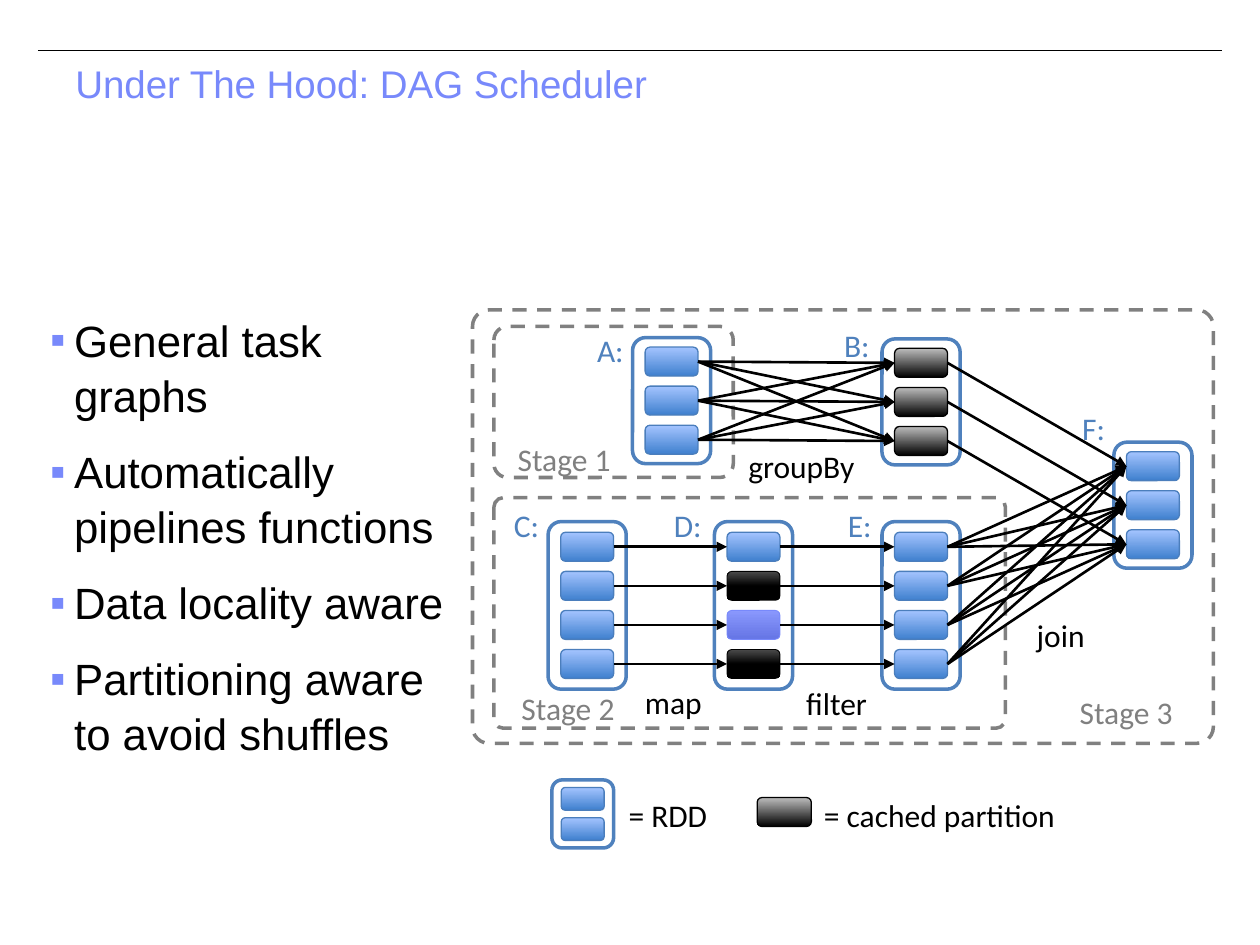
"""Build the DAG scheduler slide: bullets beside a staged graph of RDDs."""
from lxml import etree
from pptx import Presentation
from pptx.dml.color import RGBColor
from pptx.enum import dml, shapes, text
from pptx.oxml import ns
from pptx.util import Inches, Pt

BLACK = RGBColor(0x00, 0x00, 0x00)
WHITE = RGBColor(0xFF, 0xFF, 0xFF)
GRAY = RGBColor(0x80, 0x80, 0x80)
SILVER = RGBColor(0xBD, 0xBD, 0xBD)
CHARCOAL = RGBColor(0x4B, 0x4B, 0x4B)
BLUE = RGBColor(0x4F, 0x81, 0xBD)
EDGE_BLUE = RGBColor(0x4B, 0x7E, 0xBC)
DEEP_BLUE = RGBColor(0x3F, 0x80, 0xCE)
LIGHT_BLUE = RGBColor(0xA4, 0xC4, 0xFF)
VIOLET = RGBColor(0x78, 0x89, 0xFB)
LIGHT_VIOLET = RGBColor(0x8A, 0x98, 0xFD)
DEEP_VIOLET = RGBColor(0x65, 0x75, 0xE5)

TITLE = "Under The Hood: DAG Scheduler"
BULLETS = [
    ["General task graphs"],
    ["Automatically pipelines functions"],
    ["Data locality aware"],
    ["Partitioning aware", "to avoid shuffles"],
]

# style: top colour, bottom colour, position of the bottom colour, edge, edge width
STYLES = {
    "plain": (LIGHT_BLUE, DEEP_BLUE, 1, EDGE_BLUE, 0.75),
    "cached": (SILVER, BLACK, 1, BLACK, 0.75),
    "dark": (CHARCOAL, BLACK, 0.5, BLACK, 0.5),
    "violet": (LIGHT_VIOLET, DEEP_VIOLET, 1, VIOLET, 0.5),
}
STAGES = [
    (3.75, 2.46, 5.88, 3.44, 0.038),
    (3.92, 2.59, 1.9, 1.2, 0.091),
    (3.92, 3.95, 4.06, 1.83, 0.041),
]
RDDS = {
    "A": (5.02, 2.68, ["plain"] * 3),
    "B": (7, 2.69, ["cached"] * 3),
    "C": (4.35, 4.14, ["plain"] * 4),
    "D": (5.67, 4.14, ["plain", "dark", "violet", "dark"]),
    "E": (7, 4.14, ["plain"] * 4),
    "F": (8.84, 3.51, ["plain"] * 3),
}
NARROW, WIDE = "one to one", "all to all"
DEPENDENCIES = [
    ("A", "B", WIDE), ("B", "F", NARROW), ("C", "D", NARROW),
    ("D", "E", NARROW), ("E", "F", WIDE),
]
GRAPH_LABELS = [
    ("join", 8.13, 4.84, 0.6, BLACK), ("filter", 6.3, 5.38, 0.69, BLACK),
    ("groupBy", 5.84, 3.5, 1.09, BLACK), ("map", 5.02, 5.37, 0.67, BLACK),
    ("Stage 1", 4.01, 3.44, 0.98, GRAY), ("Stage 2", 4.04, 5.42, 0.99, GRAY),
    ("Stage 3", 8.47, 5.45, 0.98, GRAY),
    ("A:", 4.64, 2.58, 0.43, BLUE), ("B:", 6.6, 2.54, 0.42, BLUE),
    ("C:", 3.98, 3.97, 0.42, BLUE), ("D:", 5.25, 3.97, 0.44, BLUE),
    ("E:", 6.63, 3.97, 0.41, BLUE), ("F:", 8.49, 3.2, 0.4, BLUE),
]
LEGEND_LABELS = [
    ("= RDD", 4.89, 6.27, 0.87, BLACK),
    ("= cached partition", 6.44, 6.27, 2.07, BLACK),
]


def add_run(paragraph, words, font, size, color):
    run = paragraph.add_run()
    run.text = words
    run.font.name, run.font.size = font, Pt(size)
    run.font.color.rgb = color


def add_box(parent, x, y, w, h, edge, width):
    box = parent.add_shape(shapes.MSO_SHAPE.ROUNDED_RECTANGLE,
                           Inches(x), Inches(y), Inches(w), Inches(h))
    box.shadow.inherit = False
    box.line.color.rgb = edge
    box.line.width = Pt(width)
    return box


def add_stage(parent, x, y, w, h, rounding):
    stage = add_box(parent, x, y, w, h, GRAY, 2)
    stage.adjustments[0] = rounding
    stage.fill.background()
    stage.line.dash_style = dml.MSO_LINE.DASH


def add_partition(parent, x, y, w, h, style):
    top, bottom, end, edge, width = STYLES[style]
    partition = add_box(parent, x, y, w, h, edge, width)
    partition.fill.gradient()
    partition.fill.gradient_angle = 270
    first, last = partition.fill.gradient_stops
    first.color.rgb, last.color.rgb = top, bottom
    last.position = end
    return partition


def add_rdd(parent, x, y, w, h, part_w, part_h, pitch, styles):
    add_box(parent, x, y, w, h, BLUE, 2).fill.solid()
    parent[-1].fill.fore_color.rgb = WHITE
    left = x + (w - part_w) / 2
    top = y + (h - part_h - pitch * (len(styles) - 1)) / 2
    return [add_partition(parent, left, top + i * pitch, part_w, part_h, style)
            for i, style in enumerate(styles)]


def add_line(parent, x1, y1, x2, y2, width):
    line = parent.add_connector(shapes.MSO_CONNECTOR.STRAIGHT,
                                Inches(x1), Inches(y1), Inches(x2), Inches(y2))
    line.line.color.rgb = BLACK
    line.line.width = Pt(width)
    etree.SubElement(line._element.spPr, ns.qn("a:effectLst"))
    return line


def add_arrow(parent, source, target):
    arrow = add_line(parent, 0, 0, 1, 1, 1.5)
    arrow.begin_connect(source, 3)
    arrow.end_connect(target, 1)
    etree.SubElement(arrow.line._get_or_add_ln(), ns.qn("a:tailEnd"), type="triangle")


def add_label(parent, words, x, y, w, color):
    frame = parent.add_textbox(Inches(x), Inches(y), Inches(w), Inches(0.4)).text_frame
    frame.word_wrap = False
    frame.auto_size = text.MSO_AUTO_SIZE.SHAPE_TO_FIT_TEXT
    add_run(frame.paragraphs[0], words, "Calibri", 18, color)


def add_bullet(paragraph, lines):
    paragraph.line_spacing = 1.05
    paragraph.space_after = Pt(12)
    props = paragraph._p.get_or_add_pPr()
    props.set("marL", str(Inches(0.19)))
    props.set("indent", str(-Inches(0.19)))
    color = etree.SubElement(props, ns.qn("a:buClr"))
    etree.SubElement(color, ns.qn("a:srgbClr"), val=str(VIOLET))
    etree.SubElement(props, ns.qn("a:buFont"), typeface="Arial")
    etree.SubElement(props, ns.qn("a:buChar"), char="▪")
    for i, line in enumerate(lines):
        if i:
            paragraph.add_line_break()
        add_run(paragraph, line, "Arial", 25, BLACK)


def main():
    deck = Presentation()
    deck.slide_width, deck.slide_height = Inches(10), Inches(7.5)
    canvas = deck.slides.add_slide(deck.slide_layouts[6]).shapes

    add_line(canvas, 0.3, 0.4, 9.7, 0.4, 0.75)
    title = canvas.add_textbox(Inches(0.5), Inches(0.47), Inches(9), Inches(1.04)).text_frame
    title.word_wrap = True
    title.paragraphs[0].line_spacing = 0.9
    add_run(title.paragraphs[0], TITLE, "Arial", 22, VIOLET)

    body = canvas.add_textbox(Inches(0.3), Inches(2.42), Inches(3.45), Inches(3.92)).text_frame
    body.word_wrap = True
    for i, lines in enumerate(BULLETS):
        add_bullet(body.add_paragraph() if i else body.paragraphs[0], lines)

    add_partition(canvas, 6.01, 6.33, 0.43, 0.23, "cached")
    legend = canvas.add_group_shape().shapes
    add_rdd(legend, 4.38, 6.19, 0.49, 0.54, 0.34, 0.18, 0.24, ["plain"] * 2)
    for label in LEGEND_LABELS:
        add_label(canvas, *label)

    graph = canvas.add_group_shape().shapes
    for stage in STAGES:
        add_stage(graph, *stage)
    partitions = {
        name: add_rdd(graph, x, y, 0.62, 0.01 + 0.33 * len(styles), 0.42, 0.23, 0.31, styles)
        for name, (x, y, styles) in RDDS.items()
    }
    for source, target, kind in DEPENDENCIES:
        for i, start in enumerate(partitions[source]):
            for j, end in enumerate(partitions[target]):
                if kind == WIDE or i == j:
                    add_arrow(graph, start, end)
    for label in GRAPH_LABELS:
        add_label(graph, *label)

    deck.save("out.pptx")


if __name__ == "__main__":
    main()
